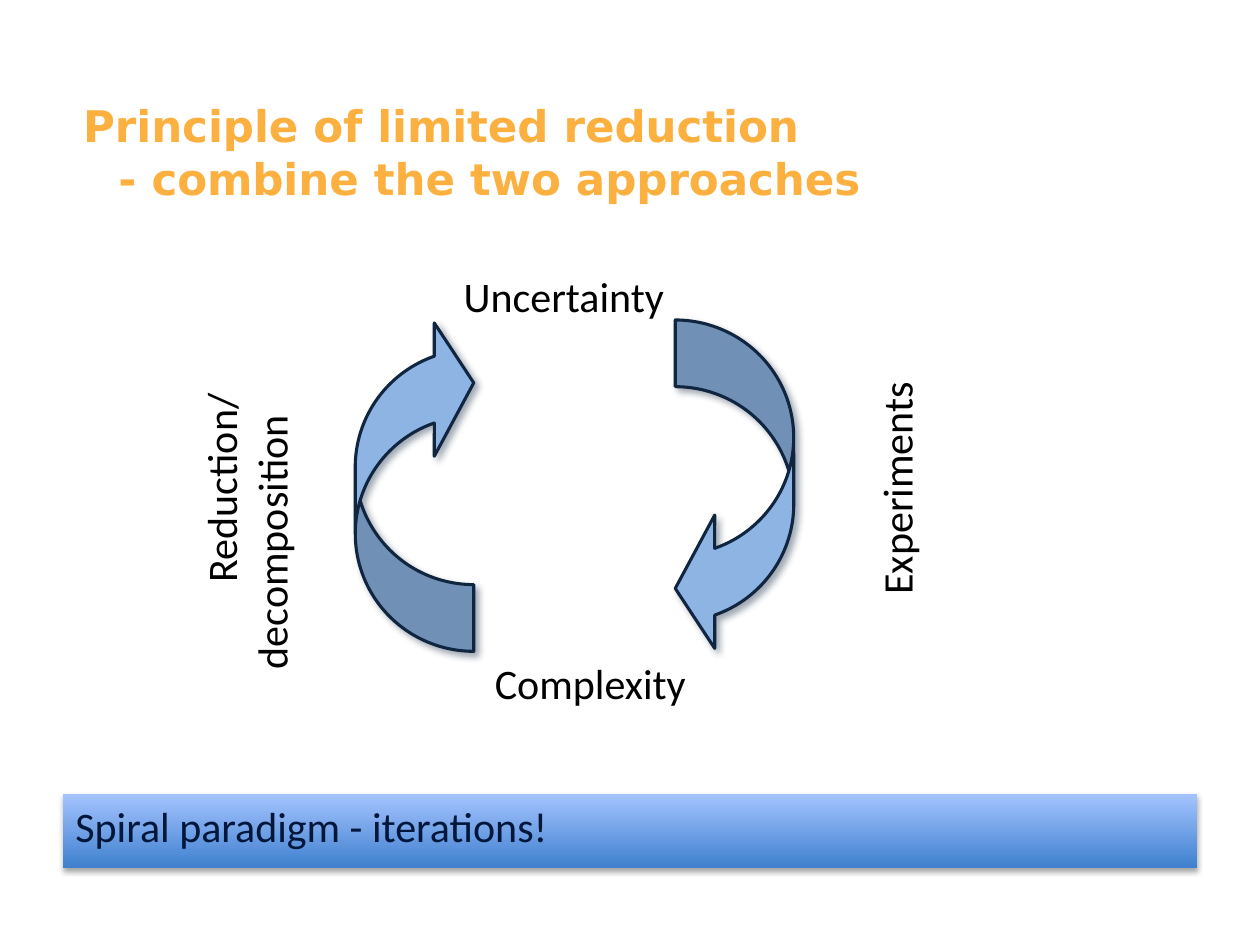
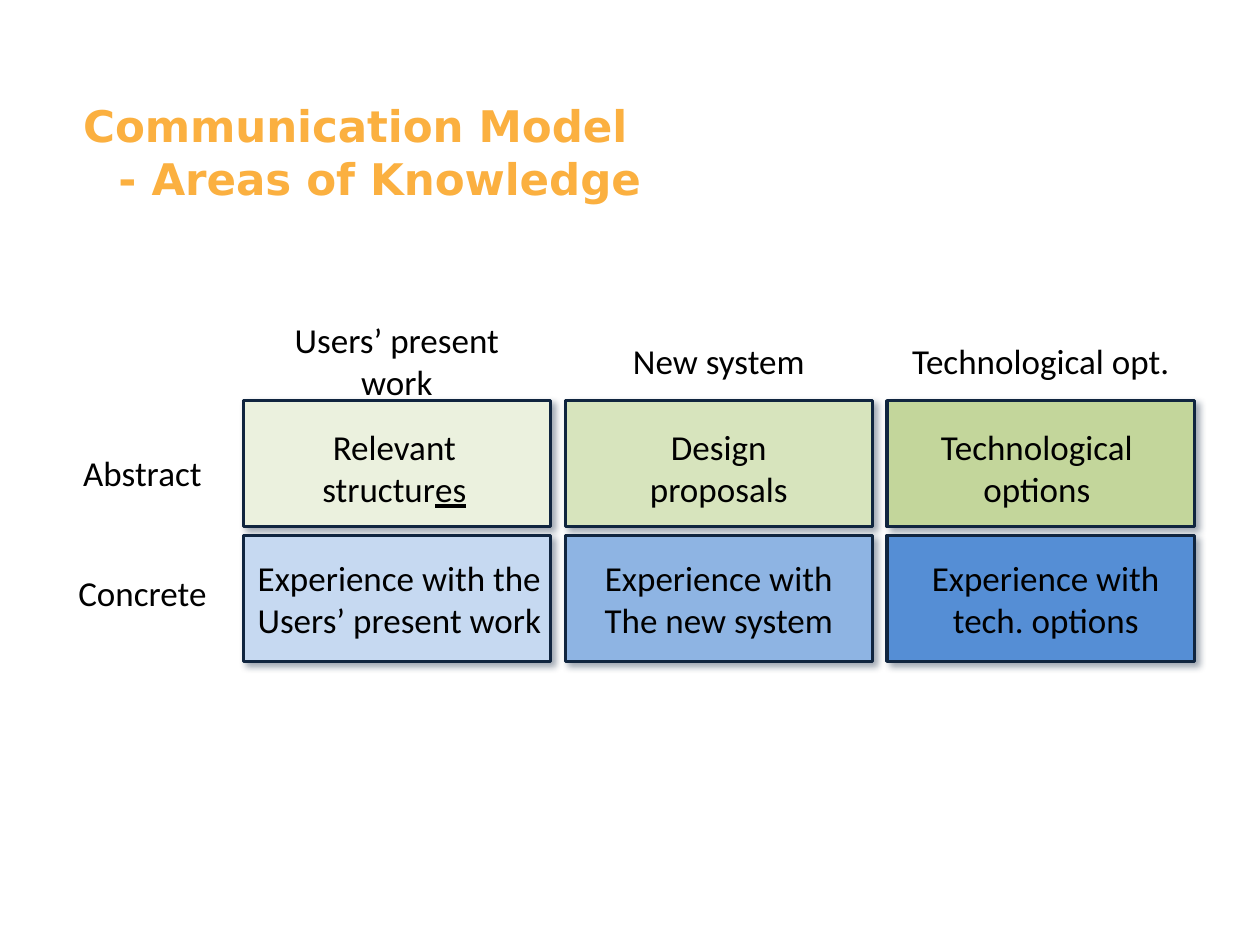
from dataclasses import dataclass

from lxml import etree
from pptx import Presentation
from pptx import util as u
from pptx.dml.color import RGBColor
from pptx.enum import shapes, text
from pptx.oxml import ns


@dataclass(frozen=True)
class Theme:
    """Colours, fonts and type sizes of the deck."""
    title: str = "FBB040"
    ink: str = "000000"
    outline: str = "10253F"
    arrow: str = "8EB4E3"
    banner_text: str = "00163B"
    banner_gradient: tuple = ("3F80CE", "A4C4FF")
    title_font: str = "DejaVu Sans"
    body_font: str = "Calibri"
    title_size: float = 24.9
    title_pitch: float = 30.3
    large: int = 24
    medium: int = 20
    line: float = 1.75


@dataclass(frozen=True)
class Box:
    """A rectangle in grid units, a hundred units across the slide."""
    left: float
    top: float
    width: float
    height: float

    def inner(self, left, top, width, height):
        """Return a box placed relative to this one."""
        return Box(self.left + left, self.top + top, width, height)

    def lengths(self):
        """Return left, top, width and height as slide lengths."""
        return [round(value * UNIT) for value in
                (self.left, self.top, self.width, self.height)]


THEME = Theme()
SLIDE_WIDTH, SLIDE_HEIGHT = u.Inches(10), u.Inches(7.5)
UNIT = SLIDE_WIDTH / 100
TITLE_BOX = Box(5.6, 7.3, 88.4, 12.5)
CYCLE_BOX = Box(14, 21, 66, 36)
BANNER_BOX = Box(5, 63, 90, 5.9)
MATRIX_BOX = Box(5.2, 26.4, 89.6, 26.1)

CENTER, LEFT = text.PP_ALIGN.CENTER, text.PP_ALIGN.LEFT
TOP, MIDDLE = text.MSO_ANCHOR.TOP, text.MSO_ANCHOR.MIDDLE

COLUMNS = ["Users’ present work", "New system", "Technological opt."]
ROWS = [("Abstract", 8.9), ("Concrete", 18.4)]
CELLS = [
    [("EBF1DE", [["Relevant"], ["structur", "es"]], -0.2, 24.4),
     ("D7E4BD", [["Design"], ["proposals"]], 0, 24.4),
     ("C3D69B", [["Technological"], ["options"]], -0.3, 24.4)],
    [("C6D9F1", [["Experience with the"], ["Users’ present work"]], 0.2, 25.6),
     ("8EB4E3", [["Experience with"], ["The new system"]], 0, 24.4),
     ("558ED5", [["Experience with tech. options"]], 0.4, 23.6)],
]


def add_run(paragraph, words, size, color=THEME.ink, font=THEME.body_font):
    """Add one formatted run to a paragraph."""
    run = paragraph.add_run()
    run.text = words
    run.font.name = font
    run.font.size = u.Pt(size)
    run.font.color.rgb = RGBColor.from_string(color)
    return run


def add_label(parent, box, lines, size, anchor=TOP, wrap=True, rotation=0,
              alignments=(CENTER, CENTER)):
    """Add a text box; each line is a list of runs, the second underlined."""
    label = parent.shapes.add_textbox(*box.lengths())
    label.rotation = rotation
    frame = label.text_frame
    frame.word_wrap = wrap
    frame.auto_size = text.MSO_AUTO_SIZE.SHAPE_TO_FIT_TEXT
    frame.vertical_anchor = anchor
    for index, (line, alignment) in enumerate(zip(lines, alignments)):
        paragraph = frame.add_paragraph() if index else frame.paragraphs[0]
        paragraph.alignment = alignment
        for position, words in enumerate(line):
            run = add_run(paragraph, words, size)
            if position:
                run.font.underline = True


def add_shadow(shape, color, alpha, blur, distance, angle):
    """Give a shape an outer shadow."""
    shape.shadow.inherit = False
    effects = shape._element.spPr.find(ns.qn("a:effectLst"))
    shadow = etree.SubElement(
        effects, ns.qn("a:outerShdw"), blurRad=str(u.Pt(blur)),
        dist=str(u.Pt(distance)), dir=str(angle * 60000), rotWithShape="0")
    tint = etree.SubElement(shadow, ns.qn("a:srgbClr"), val=color)
    etree.SubElement(tint, ns.qn("a:alpha"), val=str(alpha * 1000))


def add_outlined(parent, kind, box, fill):
    """Add a filled, outlined shape with the deck's soft shadow."""
    shape = parent.shapes.add_shape(kind, *box.lengths())
    shape.fill.solid()
    shape.fill.fore_color.rgb = RGBColor.from_string(fill)
    shape.line.color.rgb = RGBColor.from_string(THEME.outline)
    shape.line.width = u.Pt(THEME.line)
    add_shadow(shape, THEME.outline, 40, 4, 3, 45)
    return shape


def add_titled_slide(presentation, first, second):
    """Add a title-only slide with a two-line hanging title."""
    slide = presentation.slides.add_slide(presentation.slide_layouts[5])
    title = slide.shapes.title
    title.left, title.top, title.width, title.height = TITLE_BOX.lengths()
    frame = title.text_frame
    frame.vertical_anchor = TOP
    frame.auto_size = text.MSO_AUTO_SIZE.NONE
    paragraph = frame.paragraphs[0]
    paragraph.alignment = LEFT
    paragraph.line_spacing = u.Pt(THEME.title_pitch)
    indent = u.Inches(0.28)
    properties = paragraph._p.get_or_add_pPr()
    properties.set("marL", str(indent))
    properties.set("indent", str(-indent))
    for index, words in enumerate((first, second)):
        if index:
            paragraph.add_line_break()
        run = add_run(paragraph, words, THEME.title_size, THEME.title,
                      THEME.title_font)
        run.font.bold = True
    return slide


def add_cycle(slide, box):
    """Draw the two curved arrows with their four labels."""
    add_label(slide, box.inner(10.8, 0, 39.9, 5.1), [["Uncertainty"]], THEME.large)
    add_label(slide, box.inner(17.1, 30.7, 31.5, 5.1), [["Complexity"]], THEME.large)
    for left, top, flip in ((14.2, 4.1, "flipV"), (39.6, 4.4, "flipH")):
        arrow = add_outlined(slide, shapes.MSO_SHAPE.CURVED_RIGHT_ARROW,
                             box.inner(left, top, 9.4, 26.6), THEME.arrow)
        arrow._element.spPr.get_or_add_xfrm().set(flip, "1")
        for index, value in enumerate((0.563, 1.126, 0.333)):
            arrow.adjustments[index] = value
    add_label(slide, box.inner(39.4, 15.2, 35.5, 5.1), [["Experiments"]],
              THEME.large, rotation=270)
    add_label(slide, box.inner(-10.2, 12.8, 31.5, 9.1),
              [["Reduction/ "], ["decomposition"]], THEME.large,
              rotation=270, alignments=(CENTER, LEFT))


def add_banner(slide, box, words):
    """Add the gradient band with its closing statement."""
    banner = slide.shapes.add_shape(shapes.MSO_SHAPE.RECTANGLE, *box.lengths())
    banner.fill.gradient()
    banner.fill.gradient_angle = 90
    for stop, color in zip(banner.fill.gradient_stops, THEME.banner_gradient):
        stop.color.rgb = RGBColor.from_string(color)
    banner.line.fill.background()
    add_shadow(banner, THEME.ink, 35, 3.1, 1.8, 90)
    banner.text_frame.vertical_anchor = TOP
    banner.text_frame.word_wrap = True
    paragraph = banner.text_frame.paragraphs[0]
    paragraph.alignment = LEFT
    paragraph.space_before = u.Pt(2)
    add_run(paragraph, words, THEME.large, THEME.banner_text)


def add_matrix(slide, box):
    """Draw the knowledge areas with row and column headings."""
    width, height, pitch_x, pitch_y = 24.4, 10, 25.55, 10.7
    first_x, first_y, label_height = 14.1, 5.4, 7.8
    for name, top in ROWS:
        add_label(slide, box.inner(0, top, 12.2, 4.4), [[name]], THEME.medium,
                  MIDDLE, wrap=False)
    for column, name in enumerate(COLUMNS):
        add_label(slide, box.inner(first_x + column * pitch_x, 0, width, 4.4),
                  [[name]], THEME.medium, MIDDLE, wrap=False)
    group = slide.shapes.add_group_shape()
    for row, cells in enumerate(CELLS):
        for column, (fill, lines, shift, label_width) in enumerate(cells):
            cell = box.inner(first_x + column * pitch_x,
                             first_y + row * pitch_y, width, height)
            add_outlined(group, shapes.MSO_SHAPE.RECTANGLE, cell, fill)
            label = cell.inner((width - label_width) / 2 + shift, 1.4 - row * 0.3,
                               label_width, label_height)
            add_label(group, label, lines, THEME.medium, MIDDLE)


def main():
    """Build both slides and save the presentation."""
    presentation = Presentation()
    presentation.slide_width = SLIDE_WIDTH
    presentation.slide_height = SLIDE_HEIGHT
    slide = add_titled_slide(presentation, "Principle of limited reduction",
                             "- combine the two approaches")
    add_cycle(slide, CYCLE_BOX)
    add_banner(slide, BANNER_BOX, "Spiral paradigm - iterations!")
    slide = add_titled_slide(presentation, "Communication Model ",
                             "- Areas of Knowledge")
    add_matrix(slide, MATRIX_BOX)
    presentation.save("out.pptx")


if __name__ == "__main__":
    main()
